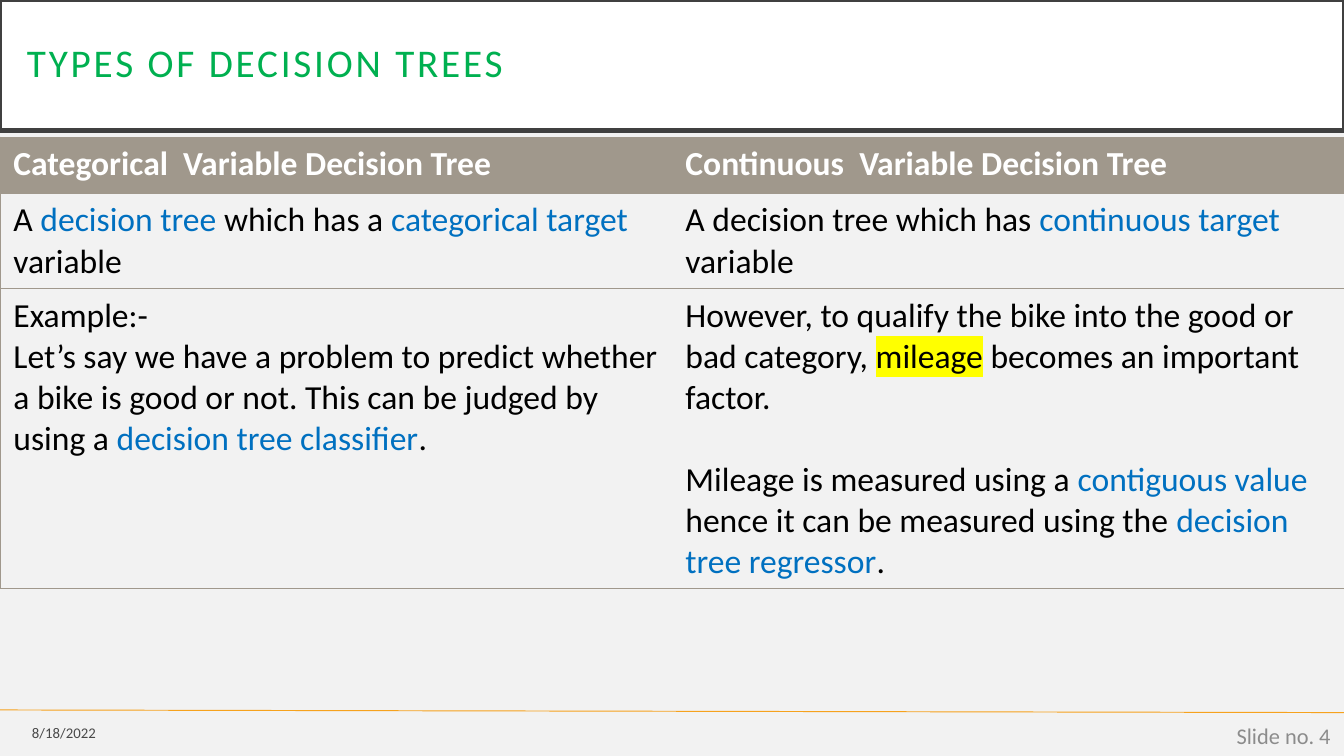
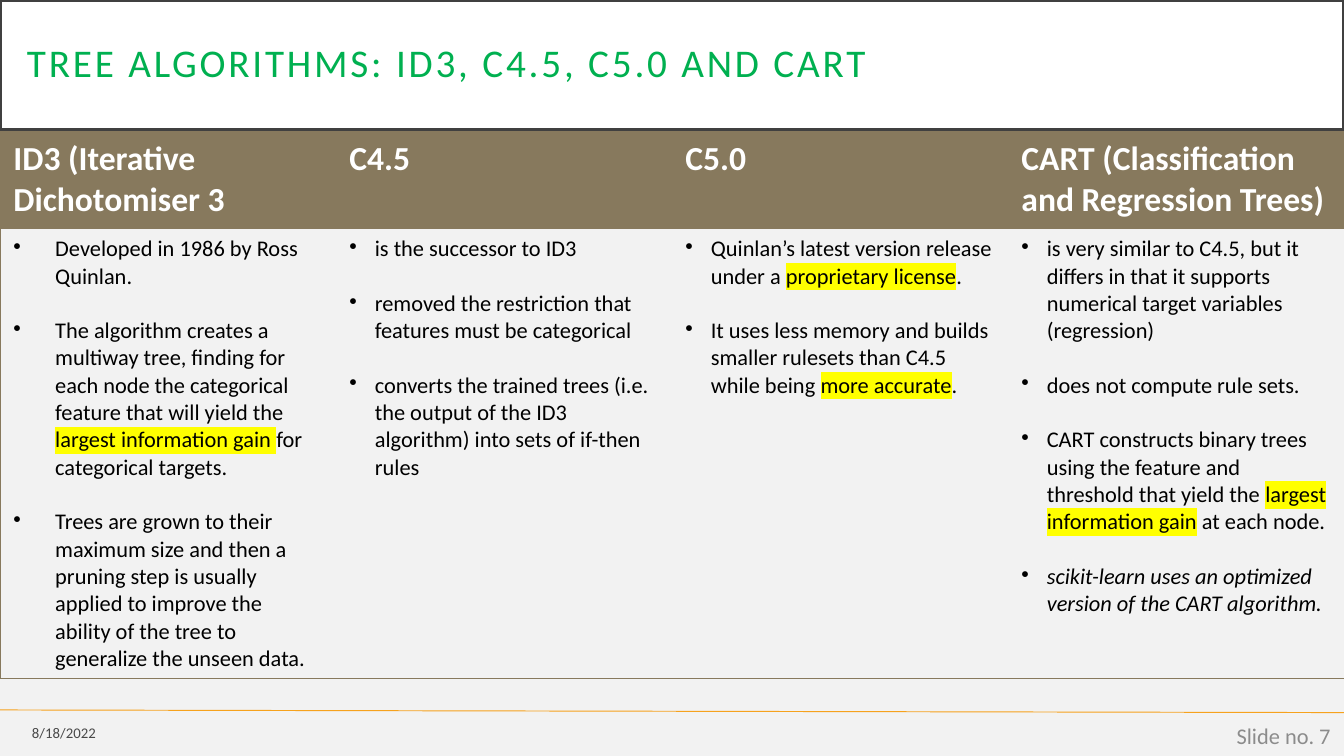
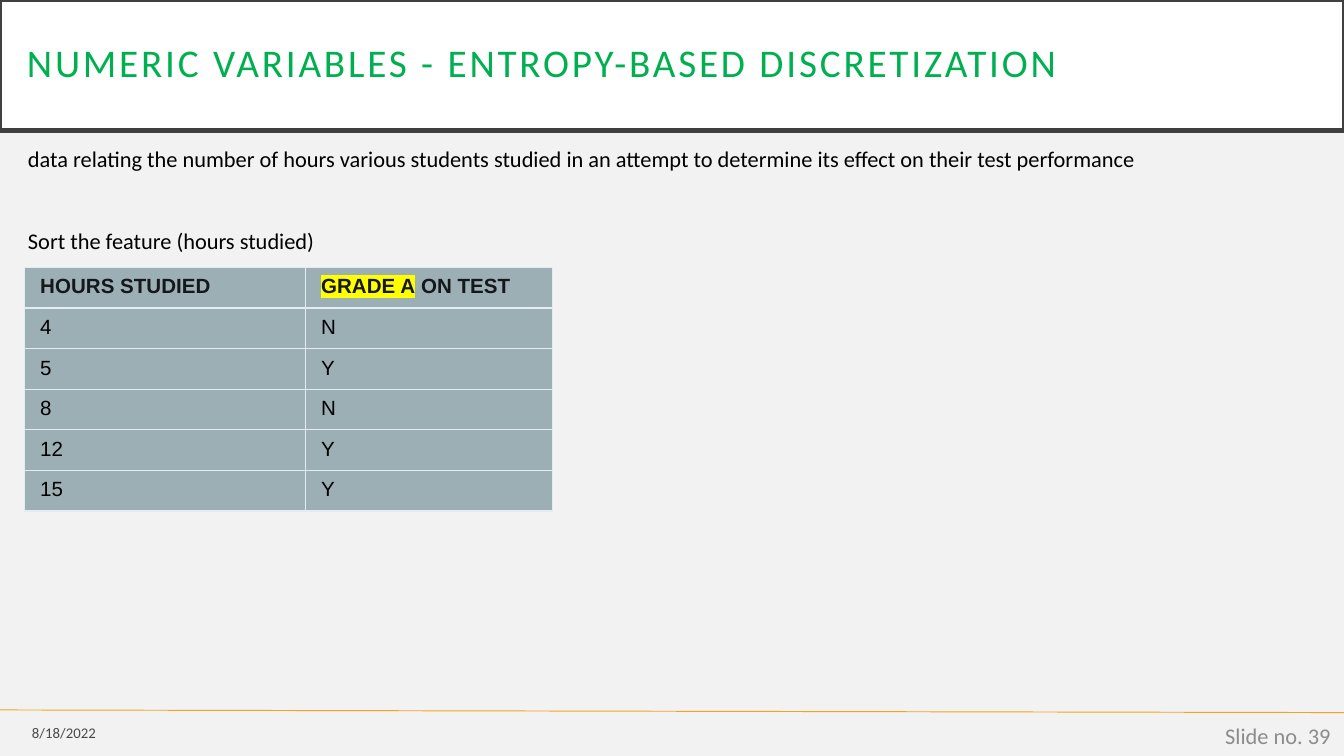
from lxml import etree
from pptx import Presentation
from pptx.dml.color import RGBColor
from pptx.enum.shapes import MSO_CONNECTOR
from pptx.enum.text import MSO_ANCHOR, MSO_AUTO_SIZE, PP_ALIGN
from pptx.oxml.ns import qn
from pptx.util import Cm, Pt

LEFT, RIGHT = PP_ALIGN.LEFT, PP_ALIGN.RIGHT
MIDDLE = MSO_ANCHOR.MIDDLE
NO_AUTOFIT = MSO_AUTO_SIZE.NONE
STRAIGHT = MSO_CONNECTOR.STRAIGHT

WIDTH, HEIGHT = 25.4, 14.28
FONT = "Calibri"
TITLE_ONLY = 5
COLORS = {
    "background": "F2F2F2",
    "white": "FFFFFF",
    "black": "000000",
    "title": "00B050",
    "title_border": "404040",
    "footer_rule": "F6A21D",
    "slide_number": "8C8C8C",
    "term": "0070C0",
    "highlight": "FFFF00",
    "types_header": "A0988C",
    "algorithms_header": "87795D",
    "grades_header_text": "15171A",
    "grades_fill": "9BAFB5",
    "grades_border": "E3ECF3",
}


def rgb(name):
    return RGBColor.from_string(COLORS[name])


def add_color(parent, name):
    color = etree.SubElement(parent, qn("a:srgbClr"))
    color.set("val", COLORS[name])
    return color


def term(text):
    return text, "term"


def marked(text):
    return text, "marked"


def italic(text):
    return text, "italic"


def add_span(para, span, size, color="black", bold=False, font=FONT):
    """Add one run; a span is a plain string or a (text, kind) pair."""
    text, kind = (span, "plain") if isinstance(span, str) else span
    run = para.add_run()
    run.text = text
    run.font.size = Pt(size)
    run.font.name = font
    run.font.bold = bold
    run.font.italic = kind == "italic"
    run.font.color.rgb = rgb("term" if kind == "term" else color)
    if kind == "marked":
        highlight = etree.Element(qn("a:highlight"))
        add_color(highlight, "highlight")
        run.font._element.find(qn("a:solidFill")).addnext(highlight)
    return run


def fill_text(frame, paras, size, gaps=(), bullet_indent=0, **style):
    """Write paragraphs of spans; gaps holds the points before each later one."""
    for index, spans in enumerate(paras):
        para = frame.paragraphs[0] if index == 0 else frame.add_paragraph()
        if index and gaps:
            para.space_before = Pt(gaps[index - 1])
        if bullet_indent:
            properties = para._p.get_or_add_pPr()
            properties.set("marL", str(Cm(bullet_indent)))
            properties.set("indent", str(-Cm(bullet_indent)))
            etree.SubElement(properties, qn("a:buChar")).set("char", "•")
        for span in spans:
            add_span(para, span, size, **style)


def add_text_box(page, left, top, width, height):
    frame = page.shapes.add_textbox(Cm(left), Cm(top), Cm(width), Cm(height)).text_frame
    frame.word_wrap = True
    return frame


def add_title(page, text):
    title = page.shapes.title
    title.left, title.top, title.width, title.height = 0, 0, Cm(WIDTH), Cm(2.46)
    title.fill.solid()
    title.fill.fore_color.rgb = rgb("white")
    title.line.color.rgb = rgb("title_border")
    title.line.width = Pt(2.5)
    frame = title.text_frame
    frame.auto_size = NO_AUTOFIT
    frame.word_wrap = True
    frame.vertical_anchor = MIDDLE
    frame.margin_left = frame.margin_right = Cm(0.51)
    frame.margin_top = frame.margin_bottom = Cm(0.51)
    para = frame.paragraphs[0]
    para.alignment = LEFT
    para.line_spacing = 0.9
    run = add_span(para, text, 21, "title")
    run.font._element.set("spc", "150")


def add_footer(page, number):
    rule = page.shapes.add_connector(STRAIGHT, 0, Cm(13.41), Cm(WIDTH), Cm(13.46))
    rule.line.color.rgb = rgb("footer_rule")
    rule.line.width = Pt(0.5)
    etree.SubElement(rule._element.spPr, qn("a:effectLst"))

    date = add_text_box(page, 0, 13.49, 2.06, 0.69)
    slide_number = add_text_box(page, 19.69, 13.51, 5.71, 0.76)
    for frame in (date, slide_number):
        frame.vertical_anchor = MIDDLE
        frame.paragraphs[0].alignment = RIGHT
    run = add_span(date.paragraphs[0], "8/18/2022", 7.9)
    color = run.font._element.find(qn("a:solidFill"))[0]
    etree.SubElement(color, qn("a:alpha")).set("val", "70000")
    add_span(slide_number.paragraphs[0], f"Slide no. {number}", 12, "slide_number")


def add_page(deck, title, number):
    page = deck.slides.add_slide(deck.slide_layouts[TITLE_ONLY])
    add_title(page, title)
    add_footer(page, number)
    return page


def set_borders(cell, sides, color, width):
    """Draw the named sides (of L, R, T, B) and clear the others."""
    properties = cell._tc.get_or_add_tcPr()
    for index, side in enumerate("LRTB"):
        line = etree.Element(qn(f"a:ln{side}"))
        if side in sides:
            line.set("w", str(Pt(width)))
            add_color(etree.SubElement(line, qn("a:solidFill")), color)
        else:
            etree.SubElement(line, qn("a:noFill"))
        properties.insert(index, line)


def add_table(page, left, top, columns, rows):
    frame = page.shapes.add_table(len(rows), len(columns), Cm(left), Cm(top),
                                  Cm(sum(columns)), Cm(sum(rows)))
    table = frame.table
    table.first_row = table.horz_banding = False
    for column, width in zip(table.columns, columns):
        column.width = Cm(width)
    for row, height in zip(table.rows, rows):
        row.height = Cm(height)
    return table


def fill_cell(cell, color=None):
    if color:
        cell.fill.solid()
        cell.fill.fore_color.rgb = rgb(color)
    else:
        cell.fill.background()


def add_comparison(page, top, heights, headings, body, accent, size, gaps, indents=None):
    """Full-width table: coloured heading row over outlined, unfilled rows."""
    count = len(headings)
    table = add_table(page, 0, top, [WIDTH / count] * count, heights)
    for column, heading in enumerate(headings):
        sides = "TB" + "L" * (column == 0) + "R" * (column == count - 1)
        cell = table.cell(0, column)
        fill_text(cell.text_frame, [[heading]], 18, color="white", bold=True)
        fill_cell(cell, accent)
        set_borders(cell, sides, accent, 0.5)
        for row, contents in enumerate(body, start=1):
            cell = table.cell(row, column)
            fill_text(cell.text_frame, contents[column], size, gaps,
                      indents[column] if indents else 0)
            fill_cell(cell)
            set_borders(cell, sides, accent, 0.5)


def add_grades(page, headings, records):
    rows = [headings] + [[[value] for value in record] for record in records]
    table = add_table(page, 0.46, 5.05, [5.31, 4.67], [0.75] * len(rows))
    for row, contents in enumerate(rows):
        color = "black" if row else "grades_header_text"
        for column, spans in enumerate(contents):
            cell = table.cell(row, column)
            cell.margin_left = cell.margin_right = Cm(0.3)
            cell.margin_top = cell.margin_bottom = Cm(0.15)
            fill_text(cell.text_frame, [spans], 11, color=color, bold=row == 0, font="Arial")
            fill_cell(cell, "grades_fill")
            set_borders(cell, "LRTB", "grades_border", 0.75)


def build_types(deck):
    page = add_page(deck, "TYPES OF DECISION TREES", 4)
    definitions = [
        [["A ", term("decision tree "), "which has a ", term("categorical target"), " variable"]],
        [["A decision tree which has ", term("continuous target "), "variable"]],
    ]
    examples = [
        [["Example:-"],
         ["Let’s say we have a problem to predict whether a bike is good or not. "
          "This can be judged by using a ", term("decision tree classifier"), "."]],
        [["However, to qualify the bike into the good or bad category, ",
          marked("mileage"), " becomes an important factor."],
         ["Mileage is measured using a ", term("contiguous value "),
          "hence it can be measured using the ", term("decision tree regressor"), "."]],
    ]
    headings = ["Categorical  Variable Decision Tree", "Continuous  Variable Decision Tree"]
    table_top, heights = 2.59, [1.06, 1.8, 5.66]
    add_comparison(page, table_top, heights, headings, [definitions, [examples[0], []]],
                   "types_header", 18, [0])
    table = page.shapes[-1].table
    fill_text(table.cell(2, 1).text_frame, examples[1], 18, [22])


def build_algorithms(deck):
    page = add_page(deck, "TREE ALGORITHMS: ID3, C4.5, C5.0 AND CART", 7)
    headings = ["ID3 (Iterative Dichotomiser 3", "C4.5", "C5.0",
                "CART (Classification and Regression Trees)"]
    features = [
        [["Developed in 1986 by Ross Quinlan."],
         ["The algorithm creates a multiway tree, finding for each node the categorical "
          "feature that will yield the ", marked("largest information gain "),
          "for categorical targets."],
         ["Trees are grown to their maximum size and then a pruning step is usually applied "
          "to improve the ability of the tree to generalize the unseen data."]],
        [["is the successor to ID3"],
         ["removed the restriction that features must be categorical"],
         ["converts the trained trees (i.e. the output of the ID3 algorithm) into sets of "
          "if-then rules"]],
        [["Quinlan’s latest version release under a ", marked("proprietary license"), "."],
         ["It uses less memory and builds smaller rulesets than C4.5 while being ",
          marked("more accurate"), "."]],
        [["is very similar to C4.5, but it differs in that it supports numerical target "
          "variables (regression)"],
         ["does not compute rule sets."],
         ["CART constructs binary trees using the feature and threshold that yield the ",
          marked("largest information gain"), " at each node."],
         [italic("scikit-learn uses an optimized version of the CART algorithm.")]],
    ]
    add_comparison(page, 2.49, [1.83, 8.5], headings, [features], "algorithms_header",
                   12, [14.6] * 3, [0.79, 0.48, 0.48, 0.48])


def build_discretization(deck):
    page = add_page(deck, "NUMERIC VARIABLES - ENTROPY-BASED DISCRETIZATION", 39)
    add_grades(page, [["HOURS STUDIED"], [marked("GRADE A"), " ON TEST"]],
               [("4", "N"), ("5", "Y"), ("8", "N"), ("12", "Y"), ("15", "Y")])
    introduction = add_text_box(page, 0.28, 2.62, 23.34, 2.31)
    fill_text(introduction,
              [["data relating the number of hours various students studied in an attempt "
                "to determine its effect on their test performance"],
               ["Sort the feature (hours studied)"]], 12, [29.2])


def main():
    deck = Presentation()
    deck.slide_width, deck.slide_height = Cm(WIDTH), Cm(HEIGHT)
    background = deck.slide_master.background.fill
    background.solid()
    background.fore_color.rgb = rgb("background")
    build_types(deck)
    build_algorithms(deck)
    build_discretization(deck)
    deck.save("out.pptx")


if __name__ == "__main__":
    main()
